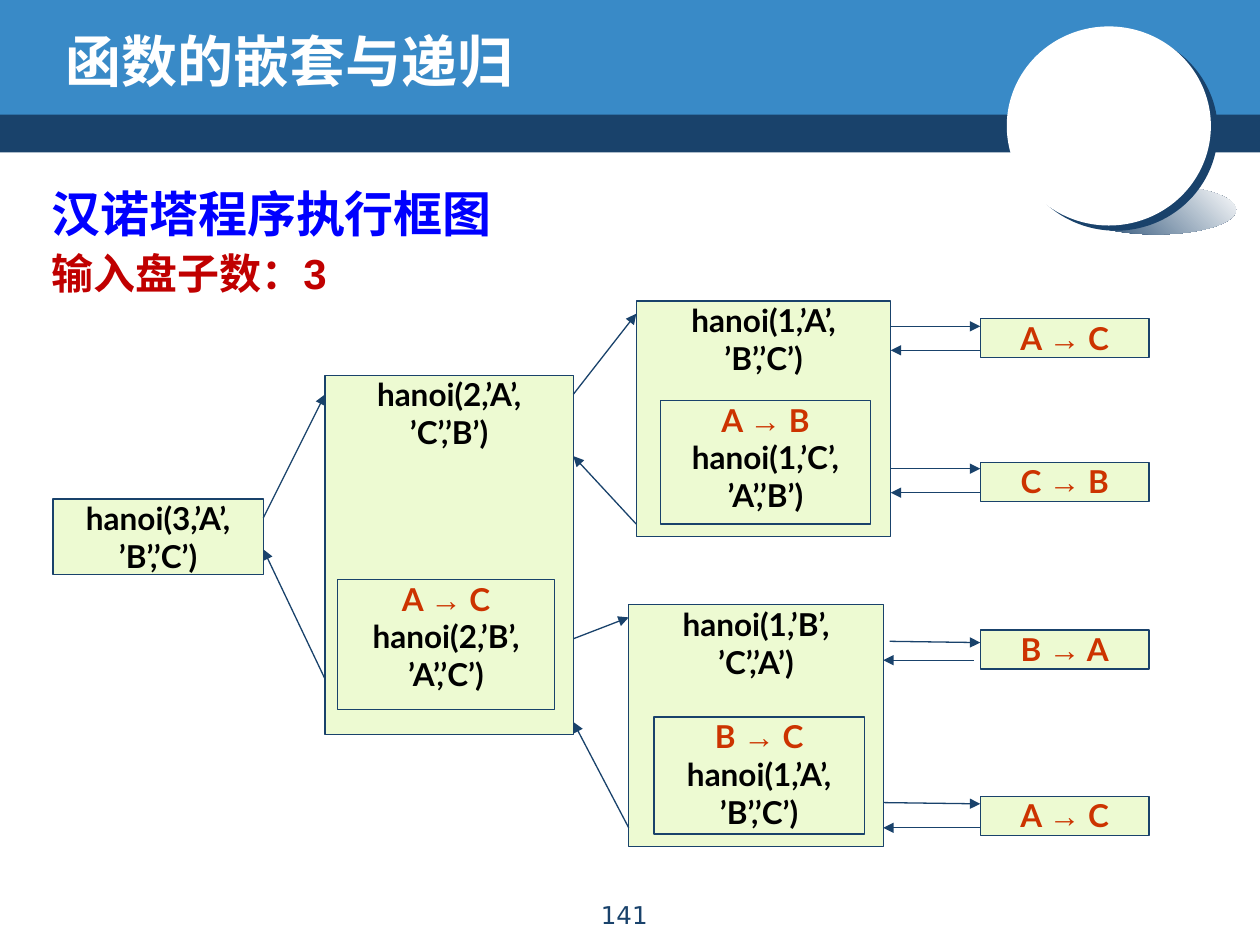
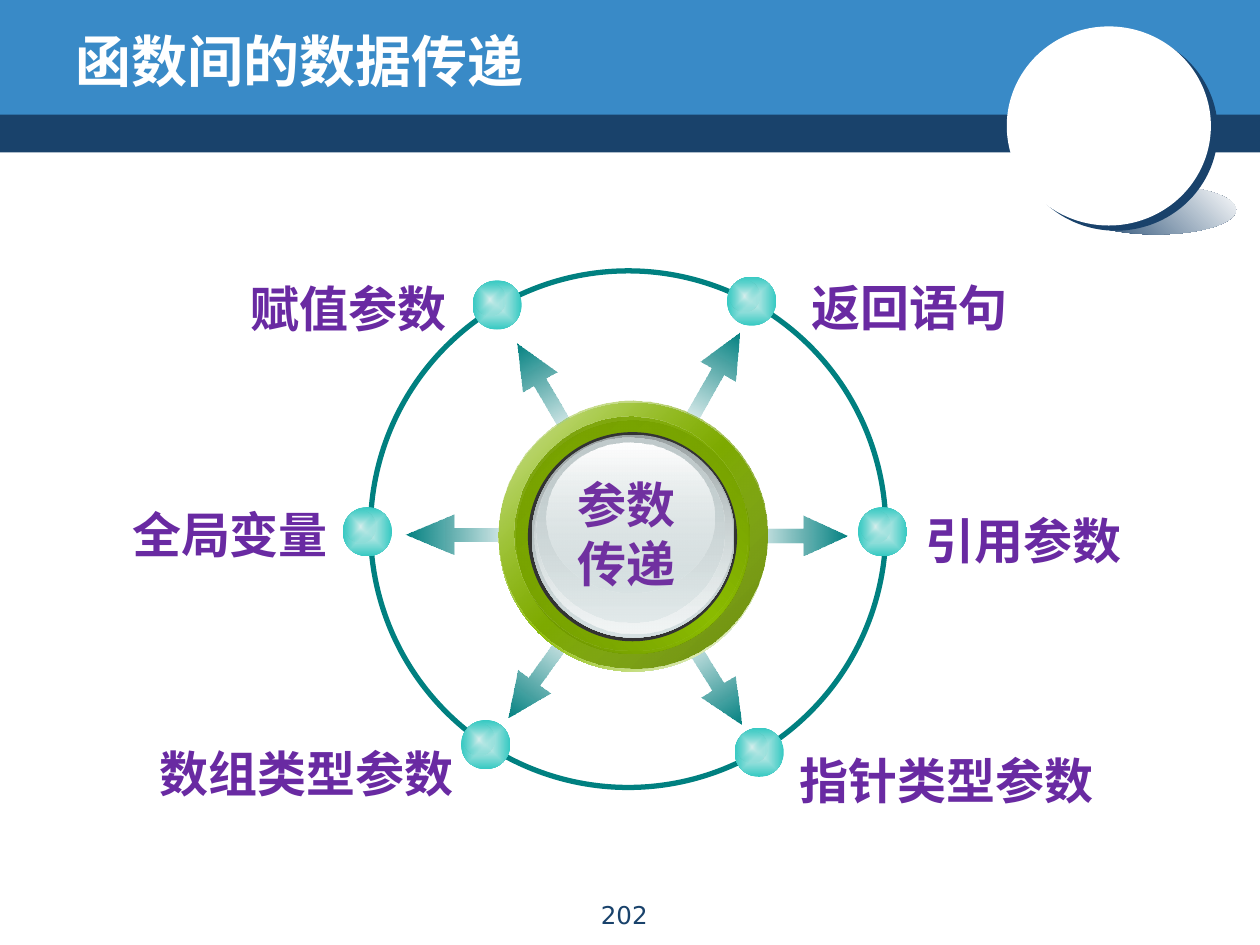
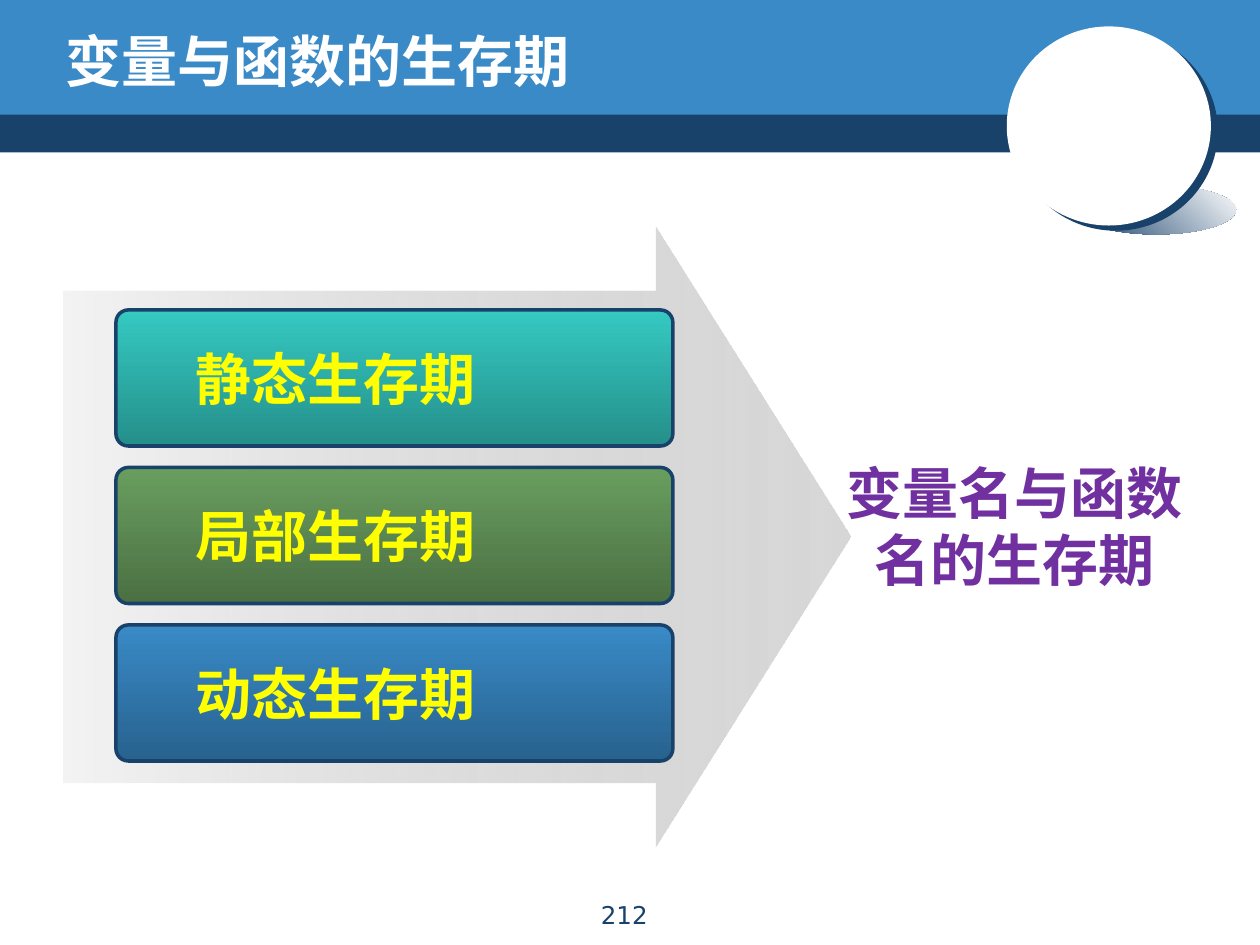
from dataclasses import dataclass

from lxml import etree
from pptx import Presentation
from pptx.dml.color import RGBColor
from pptx.enum.shapes import MSO_CONNECTOR, MSO_SHAPE
from pptx.enum.text import MSO_ANCHOR, MSO_AUTO_SIZE, PP_ALIGN
from pptx.oxml.ns import qn
from pptx.util import Emu, Inches, Pt

RECT, OVAL = MSO_SHAPE.RECTANGLE, MSO_SHAPE.OVAL
ROUND, ARROW = MSO_SHAPE.ROUNDED_RECTANGLE, MSO_SHAPE.RIGHT_ARROW
LEFT, CENTER = PP_ALIGN.LEFT, PP_ALIGN.CENTER
TOP, MIDDLE = MSO_ANCHOR.TOP, MSO_ANCHOR.MIDDLE
CELL = Inches(0.1)  # the slide is a grid of 100 columns by 75 rows


@dataclass(frozen=True)
class Theme:
    navy: str = "19426B"
    blue: str = "398AC7"
    teal: str = "35C9C2"
    ring: str = "008080"
    green: str = "699D5F"
    lime: str = "8BBC00"
    silver: str = "D6E1E2"
    white: str = "FFFFFF"
    black: str = "000000"
    card: str = "EDFAD2"
    move: str = "CC3300"
    heading: str = "0000FF"
    subheading: str = "C00000"
    purple: str = "7030A0"
    label: str = "692AA2"
    yellow: str = "FFFF00"
    title_font: str = "Comic Neue"
    page_font: str = "DejaVu Sans"
    code_font: str = "Lato"
    body_font: str = "Arial"
    cjk_font: str = "Noto Sans CJK SC"
    hub_font: str = "Noto Sans CJK JP"
    title: int = 32
    head: int = 28
    sub: int = 24
    code: int = 18
    page: int = 14


T = Theme()


@dataclass(frozen=True)
class Box:
    """An area in grid columns and rows."""
    x: float
    y: float
    w: float
    h: float

    @property
    def right(self):
        return self.x + self.w

    @property
    def center(self):
        return self.x + self.w / 2, self.y + self.h / 2

    def sub(self, x, y, w, h):
        return Box(self.x + x, self.y + y, w, h)

    def emu(self):
        return [Emu(round(v * CELL)) for v in (self.x, self.y, self.w, self.h)]


def centered(cx, cy, w, h):
    return Box(cx - w / 2, cy - h / 2, w, h)


@dataclass(frozen=True)
class Grad:
    """Stops are (position, colour, {modifier: percent}); no angle means a shape path."""
    stops: tuple
    angle: float = None


def two(first, last, angle=None, first_mods=None, last_mods=None):
    return Grad(((0, first, first_mods or {}), (100, last, last_mods or {})), angle)


# ---- drawing helpers ----

def add_color(parent, color, **mods):
    clr = etree.SubElement(parent, qn("a:srgbClr"), val=color)
    for name, percent in mods.items():
        etree.SubElement(clr, qn(f"a:{name}"), val=str(round(percent * 1000)))


def grad_xml(grad):
    fill = etree.Element(qn("a:gradFill"), rotWithShape="1")
    stops = etree.SubElement(fill, qn("a:gsLst"))
    for pos, color, mods in grad.stops:
        add_color(etree.SubElement(stops, qn("a:gs"), pos=str(pos * 1000)), color, **mods)
    if grad.angle is None:
        way = etree.SubElement(fill, qn("a:path"), {"path": "shape"})
        etree.SubElement(way, qn("a:fillToRect"), dict.fromkeys("ltrb", "50000"))
    else:
        etree.SubElement(fill, qn("a:lin"), ang=str(round(grad.angle * 60000)), scaled="1")
    return fill


def add_shape(s, kind, box, fill=None, line=None, width=0.75, adj=(), rot=0):
    sp = s.shapes.add_shape(kind, *box.emu())
    sp.shadow.inherit = False
    sp.rotation = rot
    for i, value in enumerate(adj):
        sp.adjustments[i] = value
    if isinstance(fill, str):
        sp.fill.solid()
        sp.fill.fore_color.rgb = RGBColor.from_string(fill)
    else:
        sp.fill.background()
        if fill:
            props = sp._element.spPr
            props.replace(props.find(qn("a:noFill")), grad_xml(fill))
    if line:
        sp.line.color.rgb = RGBColor.from_string(line)
        sp.line.width = Pt(width)
    else:
        sp.line.fill.background()
    return sp


def write(sp, paragraphs, size, font, color, bold=True, align=LEFT, anchor=TOP,
          inset=None, left=None, wrap=True, grow=False, spacing=None, before=0):
    """Each paragraph is a string or a list of (text, run overrides)."""
    tf = sp.text_frame
    tf.word_wrap = wrap
    tf.vertical_anchor = anchor
    tf.auto_size = MSO_AUTO_SIZE.SHAPE_TO_FIT_TEXT if grow else MSO_AUTO_SIZE.NONE
    if inset is not None:
        tf.margin_left = tf.margin_top = tf.margin_right = tf.margin_bottom = inset
    if left is not None:
        tf.margin_left = left
    for i, runs in enumerate(paragraphs):
        p = tf.add_paragraph() if i else tf.paragraphs[0]
        p.alignment = align
        if spacing:
            p.line_spacing = spacing
        if i and before:
            p.space_before = Pt(before)
        for text, own in [(runs, {})] if isinstance(runs, str) else runs:
            r = p.add_run()
            r.text = text
            r.font.size = Pt(own.get("size", size))
            r.font.bold = bold
            r.font.color.rgb = RGBColor.from_string(own.get("color", color))
            r.font.name = own.get("font", font)
            etree.SubElement(r.font._element, qn("a:ea"), typeface=r.font.name)


def add_text(s, box, paragraphs, **fmt):
    write(s.shapes.add_textbox(*box.emu()), paragraphs, **fmt)


def add_arrow_line(s, x1, y1, x2, y2):
    ends = [Emu(round(v * CELL)) for v in (x1, y1, x2, y2)]
    ln = s.shapes.add_connector(MSO_CONNECTOR.STRAIGHT, *ends)
    ln.line.color.rgb = RGBColor.from_string(T.navy)
    ln.line.width = Pt(0.75)
    etree.SubElement(ln.line._get_or_add_ln(), qn("a:tailEnd"), type="triangle")
    etree.SubElement(ln._element.spPr, qn("a:effectLst"))


# ---- shared frame ----

def new_slide(prs, title, page, title_box=Box(4.2, 1.7, 80.8, 6.2)):
    s = prs.slides.add_slide(prs.slide_layouts[6])
    # Header bands
    add_shape(s, RECT, Box(0, 8.7, 100, 3.4), T.navy)
    add_shape(s, RECT, Box(0, 0, 100, 9.1), T.blue)
    # Badge with its cast shadow
    badge = Box(79.9, 2.1, 16.2, 15.8)
    add_shape(s, OVAL, badge.sub(5.5, 12.6, 12.7, 3.9), two(T.navy, T.white, 315))
    disc = add_shape(s, OVAL, badge, T.white)
    effects = disc._element.spPr.find(qn("a:effectLst"))
    shadow = etree.SubElement(effects, qn("a:outerShdw"), dist=str(Pt(5)),
                              dir=str(37 * 60000), algn="ctr", rotWithShape="0")
    add_color(shadow, T.navy)
    add_shape(s, OVAL, badge.sub(5.5, 4.7, 5.7, 5.9), T.white)
    # Title and page number
    add_text(s, title_box, [title], size=T.title, font=T.title_font, color=T.white,
             anchor=MIDDLE)
    add_text(s, Box(40.5, 70.9, 18.1, 3.2), [page], size=T.page, font=T.page_font,
             color=T.navy, bold=False, align=CENTER)
    return s


# ---- call tree ----

def move_runs(source, target):
    return [(f"{source} ", {}), ("→", {"font": T.body_font}), (f" {target}", {})]


def add_card(s, box, paragraphs, color=T.black):
    sp = add_shape(s, RECT, box, T.card, T.navy)
    write(sp, paragraphs, size=T.code, font=T.code_font, color=color, align=CENTER, inset=0)


def add_call(s, box, args, inner, move, inner_args):
    """A call card that holds the move and the second call made inside it."""
    add_card(s, box, args)
    calls = [[(line, {"color": T.black})] for line in inner_args]
    add_card(s, box.sub(*inner), [move_runs(*move), *calls], T.move)


def call_tree(s, area):
    root = area.sub(0, 15.7, 16.7, 6)
    second = area.sub(21.6, 5.9, 19.7, 28.5)
    upper = area.sub(46.3, 0, 20.2, 18.7)
    lower = area.sub(45.7, 24.1, 20.2, 19.2)

    def link(a, b, call, back, gap=0):
        """Arrow out from a to b and back; rows count from the top of the area."""
        add_arrow_line(s, a.right + gap, area.y + call[0], b.x, area.y + call[1])
        add_arrow_line(s, b.x - gap, area.y + back[0], a.right, area.y + back[1])

    add_card(s, root, ["hanoi(3,’A’,", "’B’,’C’)"])
    add_call(s, second, ["hanoi(2,’A’,", "’C’,’B’)"], (1, 16.2, 17.2, 10.3),
             "AC", ["hanoi(2,’B’,", "’A’,’C’)"])
    add_call(s, upper, ["hanoi(1,’A’,", "’B’,’C’)"], (1.9, 7.9, 16.7, 9.8),
             "AB", ["hanoi(1,’C’,", "’A’,’B’)"])
    add_call(s, lower, ["hanoi(1,’B’,", "’C’,’A’)"], (2, 8.9, 16.7, 9.3),
             "BC", ["hanoi(1,’A’,", "’B’,’C’)"])
    link(root, second, (17.2, 7.4), (30, 19.7))
    link(second, upper, (7.4, 1), (17.7, 12.3))
    link(second, lower, (26.8, 25.1), (41.8, 33.4))

    # Single moves at the leaves
    for caller, move, top, call, back, gap in [
        (upper, "AC", 1.4, (2, 2), 3.9, 0),
        (upper, "CB", 12.8, (13.3, 13.3), 15.2, 0),
        (lower, "BA", 26.1, (27, 27.1), 28.5, 0.5),
        (lower, "AC", 39.3, (39.8, 39.9), 41.8, 0),
    ]:
        leaf = area.sub(73.6, top, 13.4, 3.1)
        add_card(s, leaf, [move_runs(*move)], T.move)
        link(caller, leaf, call, (back, back), gap)


def hanoi_slide(prs):
    s = new_slide(prs, "函数的嵌套与递归", "141")
    call_tree(s, Box(4.2, 23.9, 87, 43.3))
    add_text(s, Box(3.1, 14.1, 37.4, 11.8),
             ["汉诺塔程序执行框图",
              [("输入盘子数：3", {"size": T.sub, "color": T.subheading})]],
             size=T.head, font=T.body_font, color=T.heading, before=3)


# ---- parameter wheel ----

CLEAR = {"alpha": 0}
# label, its offset, node offset, arrow offset, arrow angle, length, head (from the centre)
SPOKES = [
    ("返回语句", (13.55, -21.4), (9.8, -18.1), (6.7, -11.8), 299.6, 8.7, 1.11),
    ("指针类型参数", (12.65, 16.1), (10.4, 17.7), (6.7, 11.8), 57.8, 8.7, 1.11),
    ("赋值参数", (-30.95, -21.3), (-10.4, -17.8), (-6.6, -11), 239.5, 8.7, 1.11),
    ("数组类型参数", (-38.15, 15.6), (-11.3, 17.1), (-7, 11.4), 125.6, 8.7, 1.11),
    ("引用参数", (22.65, -2.9), (20.2, 0.2), (13.1, 0.5), 0, 8.7, 1.11),
    ("全局变量", (-40.35, -3.4), (-20.7, 0.2), (-13, 0.4), 180, 9.4, 1.21),
]
# left, top, width, height inside the hub, fill
HUB_LAYERS = [
    (0, 0.2, 21.3, 21.3, Grad(((0, T.white, {}), (50, T.lime, {}), (100, T.white, {})), 45)),
    (0, 0, 21.3, 21.3, two(T.lime, "638600", 45, {"alpha": 32})),
    (1.4, 1.6, 18.5, 18.5,
     Grad(((0, "6A9000", {}), (50, T.lime, {}), (100, "6A9000", {})), 315)),
    (1.2, 1.3, 18.5, 18.5, two("729A00", T.lime, 45, None, CLEAR)),
    (2.3, 2.5, 16.6, 16.6, "333333"),
    (2.6, 2.7, 16.1, 16.1, two("99A1A2", T.silver, 90)),
    (2.8, 2.8, 15.7, 15.7, two(T.silver, "F2F5F5", 90, CLEAR)),
    (3, 2.9, 14.9, 14.7, two("C1CBCC", T.silver, 90, None, {"alpha": 48})),
    (3.8, 3.3, 13.3, 11.9, two(T.white, T.silver, 90, None, {"alpha": 38})),
]


def add_node(s, box):
    add_shape(s, OVAL, box, two("D7EFED", T.teal))
    add_shape(s, OVAL, box.sub(0.2, 0.3, 2.4, 2.5), two("D7EFED", T.teal, None, None, CLEAR))


def add_hub(s, box):
    for *place, fill in HUB_LAYERS:
        add_shape(s, OVAL, box.sub(*place), fill)
    add_text(s, box.sub(5.2, 5.4, 9.9, 10.4), ["参数", "传递"], size=T.head,
             font=T.hub_font, color=T.purple, align=CENTER, wrap=False, grow=True)


def wheel(s, area):
    cx, cy = area.center
    for _, _, _, (dx, dy), angle, length, head in SPOKES:
        add_shape(s, ARROW, centered(cx + dx, cy + dy, length, 3.2),
                  two("007A7A", T.ring, 0, CLEAR), adj=(0.352, head), rot=angle)
    add_shape(s, OVAL, area, line=T.ring, width=3)
    for _, _, (dx, dy), *_ in SPOKES:
        add_node(s, centered(cx + dx, cy + dy, 3.9, 3.9))
    add_hub(s, area.sub(10.2, 10.3, 21.3, 21.3))
    for text, (dx, dy), *_ in SPOKES:
        add_text(s, Box(cx + dx, cy + dy, 2 + 3.95 * len(text), 5.9), [text], size=T.head,
                 font=T.cjk_font, color=T.label, wrap=False, grow=True, spacing=1.2)


def passing_slide(prs):
    s = new_slide(prs, "函数间的数据传递", "202", Box(5, 1.7, 90.8, 6.2))
    wheel(s, Box(29.4, 21.5, 40.9, 41))


# ---- lifetimes ----

def lifetimes(s, area):
    add_shape(s, ARROW, area, two("B2B2B2", "D7D7D7", 0, {"alpha": 15}), adj=(0.793, 0.315))
    bars = [("静态生存期", T.teal), ("局部生存期", T.green), ("动态生存期", T.blue)]
    for i, (text, color) in enumerate(bars):
        fill = two(color, color, 90, None, {"shade": 46.27})
        sp = add_shape(s, ROUND, area.sub(4.2, 6.6 + 12.5 * i, 44.2, 10.8), fill,
                       T.navy, 2, (0.091,))
        write(sp, [text], size=T.title, font=T.cjk_font, color=T.yellow,
              anchor=MIDDLE, left=Inches(0.6))
    # Conclusion at the tip of the arrow
    sp = add_shape(s, ROUND, area.sub(60, 16.6, 31.1, 14.2), adj=(0.091,))
    write(sp, ["变量名与函数名的生存期"], size=T.title, font=T.cjk_font,
          color=T.purple, align=CENTER, anchor=MIDDLE)


def lifetime_slide(prs):
    s = new_slide(prs, "变量与函数的生存期", "212")
    lifetimes(s, Box(5, 18, 62.5, 49.2))


def main():
    prs = Presentation()
    prs.slide_width, prs.slide_height = Inches(10), Inches(7.5)
    hanoi_slide(prs)
    passing_slide(prs)
    lifetime_slide(prs)
    prs.save("out.pptx")


if __name__ == "__main__":
    main()
